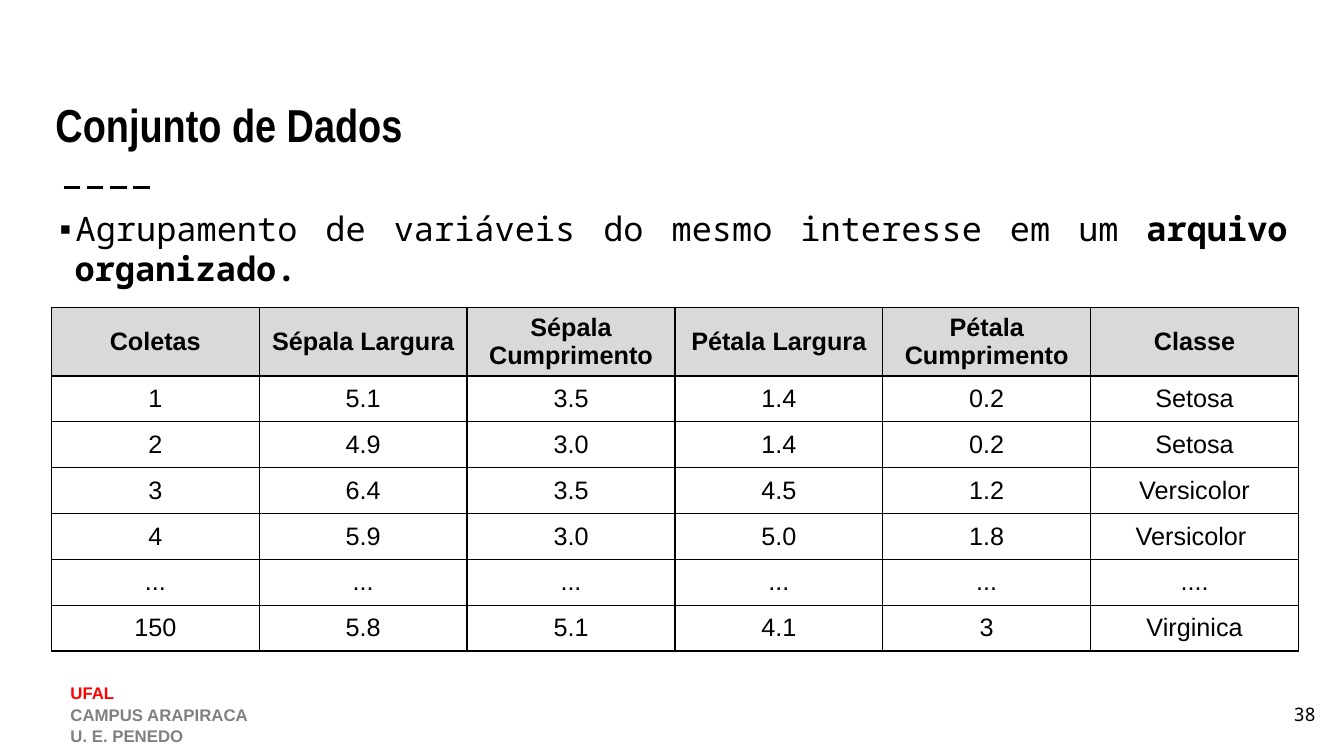
"""Build the "Conjunto de Dados" slide with its sample table."""
import lxml.etree
import pptx
import pptx.dml.color
import pptx.enum.dml
import pptx.enum.shapes
import pptx.enum.text
import pptx.oxml
import pptx.oxml.ns
import pptx.util

Inches = pptx.util.Inches
Pt = pptx.util.Pt
RGBColor = pptx.dml.color.RGBColor
ALIGN = pptx.enum.text.PP_ALIGN
ANCHOR = pptx.enum.text.MSO_ANCHOR

BLACK = RGBColor(0x00, 0x00, 0x00)
RED = RGBColor(0xFF, 0x00, 0x00)
GRAY = RGBColor(0x80, 0x80, 0x80)
HEADER_GRAY = RGBColor(0xD9, 0xD9, 0xD9)
MONO = "Noto Sans Mono"
NAMESPACE = pptx.oxml.ns.nsdecls("a")


def format_runs(paragraph, size, font, color=BLACK, bold=False):
    for run in paragraph.runs:
        run.font.size = Pt(size)
        run.font.name = font
        run.font.color.rgb = color
        run.font.bold = bold


def set_frame(shape, left, top, width, height, anchor, inset=0.1):
    shape.left, shape.top = Inches(left), Inches(top)
    shape.width, shape.height = Inches(width), Inches(height)
    frame = shape.text_frame
    frame.word_wrap = True
    frame.auto_size = pptx.enum.text.MSO_AUTO_SIZE.NONE
    frame.vertical_anchor = anchor
    frame.margin_left = frame.margin_right = Inches(0.1)
    frame.margin_top = frame.margin_bottom = Inches(inset)
    return frame


presentation = pptx.Presentation()
presentation.slide_width = Inches(13.33)
presentation.slide_height = Inches(7.5)
slide = presentation.slides.add_slide(presentation.slide_layouts[1])
shapes = slide.shapes

heading = set_frame(shapes.title, 0.45, 0.54, 12.42, 1.07, ANCHOR.BOTTOM)
heading.text = "Conjunto de Dados"
heading.paragraphs[0].alignment = ALIGN.LEFT
format_runs(heading.paragraphs[0], 33, "Arial Narrow", bold=True)

definition = set_frame(slide.placeholders[1], 0.45, 1.91, 12.42, 1.3, ANCHOR.TOP, 0.15)
sentence = definition.paragraphs[0]
sentence.alignment = ALIGN.JUSTIFY
sentence.line_spacing = 1.0
sentence.space_before = Pt(0)
bullet_properties = sentence._p.get_or_add_pPr()
bullet_properties.set("marL", str(Inches(0.19)))
bullet_properties.set("indent", str(Inches(-0.19)))
for bullet_xml in (
    f'<a:buClr {NAMESPACE}><a:srgbClr val="{BLACK}"/></a:buClr>',
    f'<a:buFont {NAMESPACE} typeface="{MONO}"/>',
    f'<a:buChar {NAMESPACE} char="▪"/>',
):
    bullet_properties.append(pptx.oxml.parse_xml(bullet_xml))
sentence.add_run().text = "Agrupamento de variáveis do mesmo interesse em um "
key_term = sentence.add_run()
key_term.text = "arquivo organizado."
format_runs(sentence, 24, MONO)
key_term.font.bold = True

title_rule = shapes.add_connector(
    pptx.enum.shapes.MSO_CONNECTOR.STRAIGHT,
    Inches(0.63), Inches(1.86), Inches(1.52), Inches(1.86),
)
title_rule.line.color.rgb = BLACK
title_rule.line.width = Pt(1.5)
title_rule.line.dash_style = pptx.enum.dml.MSO_LINE.LONG_DASH
lxml.etree.SubElement(title_rule._element.spPr, pptx.oxml.ns.qn("a:effectLst"))

samples = [
    ["Coletas", "Sépala Largura", "Sépala Cumprimento",
     "Pétala Largura", "Pétala Cumprimento", "Classe"],
    ["1", "5.1", "3.5", "1.4", "0.2", "Setosa"],
    ["2", "4.9", "3.0", "1.4", "0.2", "Setosa"],
    ["3", "6.4", "3.5", "4.5", "1.2", "Versicolor"],
    ["4", "5.9", "3.0", "5.0", "1.8", "Versicolor "],
    ["...", "...", "...", "...", "...", "...."],
    ["150", "5.8", "5.1", "4.1", "3", "Virginica"],
]
table_width, table_height, header_height = Inches(12.37), Inches(3.41), Inches(0.68)
sample_table = shapes.add_table(
    len(samples), len(samples[0]), Inches(0.51), Inches(3.05), table_width, table_height
).table
sample_table.first_row = False
sample_table.horz_banding = False
for column in sample_table.columns:
    column.width = table_width // len(samples[0])
for row in sample_table.rows:
    row.height = (table_height - header_height) // (len(samples) - 1)
sample_table.rows[0].height = header_height

for row_index, values in enumerate(samples):
    is_header = row_index == 0
    for column_index, value in enumerate(values):
        cell = sample_table.cell(row_index, column_index)
        cell.text = value
        cell.vertical_anchor = ANCHOR.MIDDLE
        cell.margin_left = cell.margin_right = Inches(0.05)
        cell.margin_top = cell.margin_bottom = Inches(0.03)
        cell.text_frame.paragraphs[0].alignment = ALIGN.CENTER
        format_runs(cell.text_frame.paragraphs[0], 18, "Arial", bold=is_header)
        for side in ("lnL", "lnR", "lnT", "lnB"):
            cell._tc.get_or_add_tcPr().append(pptx.oxml.parse_xml(
                f'<a:{side} {NAMESPACE} w="{Pt(1)}"><a:solidFill>'
                f'<a:srgbClr val="{BLACK}"/></a:solidFill></a:{side}>'
            ))
        if is_header:
            cell.fill.solid()
            cell.fill.fore_color.rgb = HEADER_GRAY
        else:
            cell.fill.background()

campus_box = shapes.add_textbox(0, 0, 0, 0)
campus = set_frame(campus_box, 0.6, 6.71, 6.11, 0.71, ANCHOR.TOP, 0.05)
campus.text = "UFAL\nCAMPUS ARAPIRACA\nU. E. PENEDO"
for line, color in zip(campus.paragraphs, (RED, GRAY, GRAY)):
    line.line_spacing = 1.07
    format_runs(line, 12, "Arial", color, bold=True)

page_box = shapes.add_textbox(0, 0, 0, 0)
page_number = set_frame(page_box, 12.35, 6.8, 0.8, 0.57, ANCHOR.MIDDLE)
page_number.text = "38"
page_number.paragraphs[0].alignment = ALIGN.RIGHT
format_runs(page_number.paragraphs[0], 13.3, MONO)

presentation.save("out.pptx")
